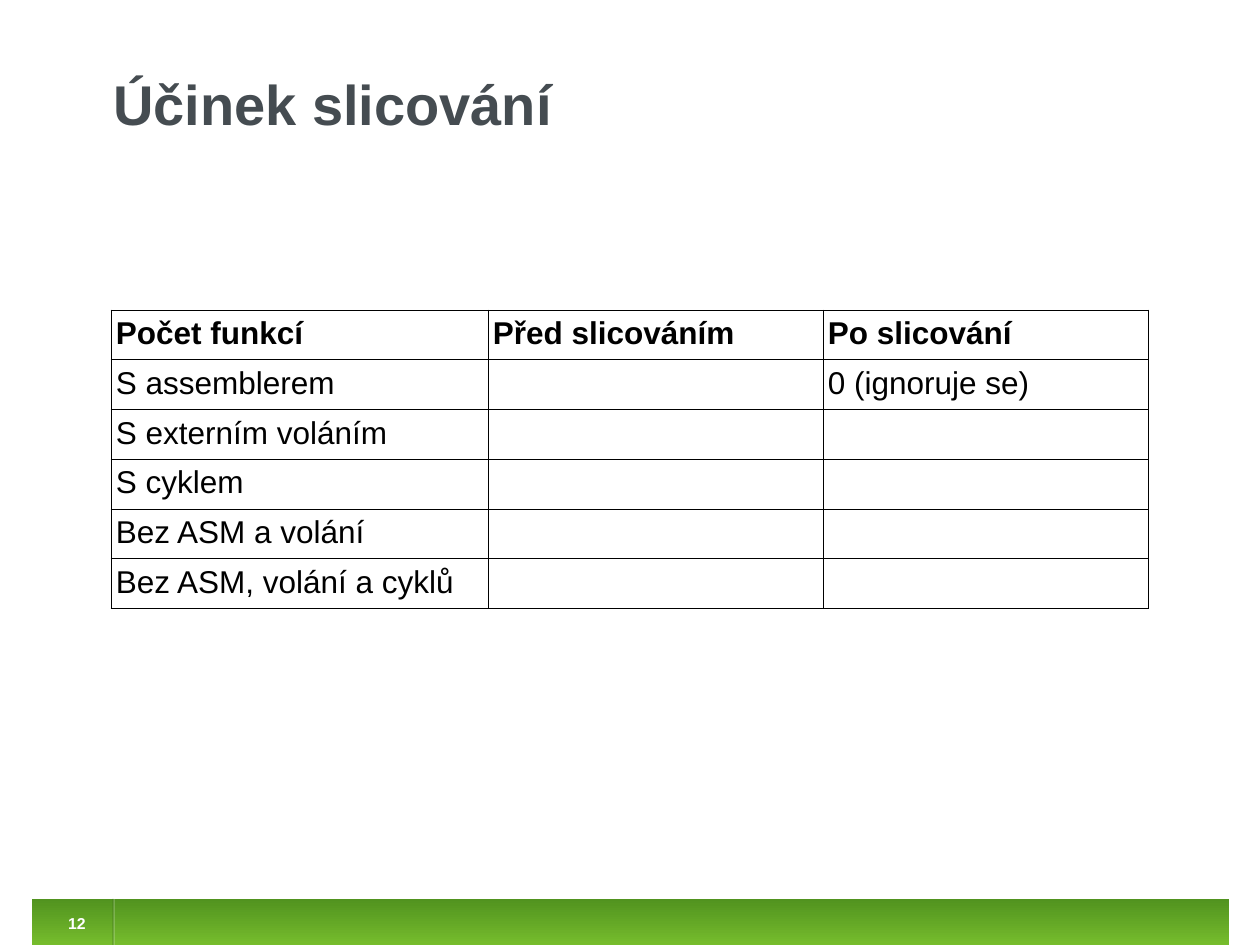
from lxml.etree import SubElement
from pptx import Presentation
from pptx.dml.color import RGBColor
from pptx.enum.shapes import MSO_CONNECTOR, MSO_SHAPE
from pptx.enum.text import MSO_ANCHOR, PP_ALIGN
from pptx.oxml.ns import qn
from pptx.util import Inches, Pt

TITLE = "Účinek slicování"
PAGE_NUMBER = "12"
ROWS = [
    ("Počet funkcí", "Před slicováním", "Po slicování"),
    ("S assemblerem", "", "0 (ignoruje se)"),
    ("S externím voláním", "", ""),
    ("S cyklem", "", ""),
    ("Bez ASM a volání", "", ""),
    ("Bez ASM, volání a cyklů", "", ""),
]
COLORS = {
    "title": "454C51",
    "text": "000000",
    "white": "FFFFFF",
    "light_green": "77BD2D",
    "dark_green": "51931F",
    "groove": "3F7418",
}
TITLE_BOX = (113, 35, 1038, 136)
NUMBER_BOX = (57, 905, 40, 38)
FOOTER_BAR = (32, 899, 1197, 47)
GROOVE_LINES = [(114, "white", 31), (113, "groove", 48)]
TABLE_LEFT, TABLE_TOP, ROW_HEIGHT = 111, 310, 48
COLUMN_WIDTHS = (377, 335, 325)
CELL_MARGINS = {"margin_left": 5, "margin_right": 5, "margin_top": 6, "margin_bottom": 6}
BORDER_WIDTH = Pt(0.57)


def px(value):
    return round(value * 914400 / 126)


def color(name):
    return RGBColor.from_string(COLORS[name])


def write(paragraph, text, color_name, size, bold):
    font = paragraph.add_run().font
    paragraph.runs[0].text = text
    for name, value in {"name": "Arial", "size": Pt(size), "bold": bold}.items():
        setattr(font, name, value)
    font.color.rgb = color(color_name)


def add_text(slide, box, text, color_name, size, wrap, alignment, spacing):
    frame = slide.shapes.add_textbox(*map(px, box)).text_frame
    settings = {
        "margin_left": 0, "margin_right": 0, "margin_top": 0, "margin_bottom": 0,
        "word_wrap": wrap, "vertical_anchor": MSO_ANCHOR.MIDDLE,
    }
    for name, value in settings.items():
        setattr(frame, name, value)
    paragraph = frame.paragraphs[0]
    paragraph.alignment = alignment
    paragraph.line_spacing = spacing
    write(paragraph, text, color_name, size, True)


def add_footer(slide):
    bar = slide.shapes.add_shape(MSO_SHAPE.RECTANGLE, *map(px, FOOTER_BAR))
    bar.shadow.inherit = False
    bar.line.fill.background()
    bar.fill.gradient()
    bar.fill.gradient_angle = 90
    for stop, name in zip(bar.fill.gradient_stops, ("light_green", "dark_green")):
        stop.color.rgb = color(name)
    top, height = FOOTER_BAR[1], FOOTER_BAR[3]
    for x, name, opacity in GROOVE_LINES:
        line = slide.shapes.add_connector(
            MSO_CONNECTOR.STRAIGHT, px(x), px(top), px(x), px(top + height))
        line.line.width = Pt(0.75)
        line.line.color.rgb = color(name)
        properties = line._element.spPr
        SubElement(properties, qn("a:effectLst"))
        tint = properties.find(".//" + qn("a:srgbClr"))
        SubElement(tint, qn("a:alpha"), val=str(opacity * 1000))


def add_borders(cell):
    properties = cell._tc.get_or_add_tcPr()
    for position, side in enumerate(("lnL", "lnR", "lnT", "lnB")):
        border = SubElement(properties, qn("a:" + side), w=str(BORDER_WIDTH))
        fill = SubElement(border, qn("a:solidFill"))
        SubElement(fill, qn("a:srgbClr"), val=COLORS["text"])
        properties.insert(position, border)


def add_function_table(slide):
    table = slide.shapes.add_table(
        len(ROWS), len(COLUMN_WIDTHS), px(TABLE_LEFT), px(TABLE_TOP),
        px(sum(COLUMN_WIDTHS)), px(ROW_HEIGHT * len(ROWS))).table
    table.first_row = table.horz_banding = False
    for column, width in zip(table.columns, COLUMN_WIDTHS):
        column.width = px(width)
    for row_index, texts in enumerate(ROWS):
        table.rows[row_index].height = px(ROW_HEIGHT)
        for column_index, text in enumerate(texts):
            cell = table.cell(row_index, column_index)
            cell.fill.background()
            for name, value in CELL_MARGINS.items():
                setattr(cell, name, px(value))
            add_borders(cell)
            paragraph = cell.text_frame.paragraphs[0]
            if text:
                write(paragraph, text, "text", 18, row_index == 0)


def main():
    presentation = Presentation()
    presentation.slide_width = Inches(10)
    presentation.slide_height = Inches(7.5)
    slide = presentation.slides.add_slide(presentation.slide_layouts[6])
    add_footer(slide)
    add_text(slide, NUMBER_BOX, PAGE_NUMBER, "white", 9, False, PP_ALIGN.CENTER, 0.93)
    add_function_table(slide)
    add_text(slide, TITLE_BOX, TITLE, "title", 32, True, PP_ALIGN.LEFT, 1.0)
    presentation.save("out.pptx")


if __name__ == "__main__":
    main()
